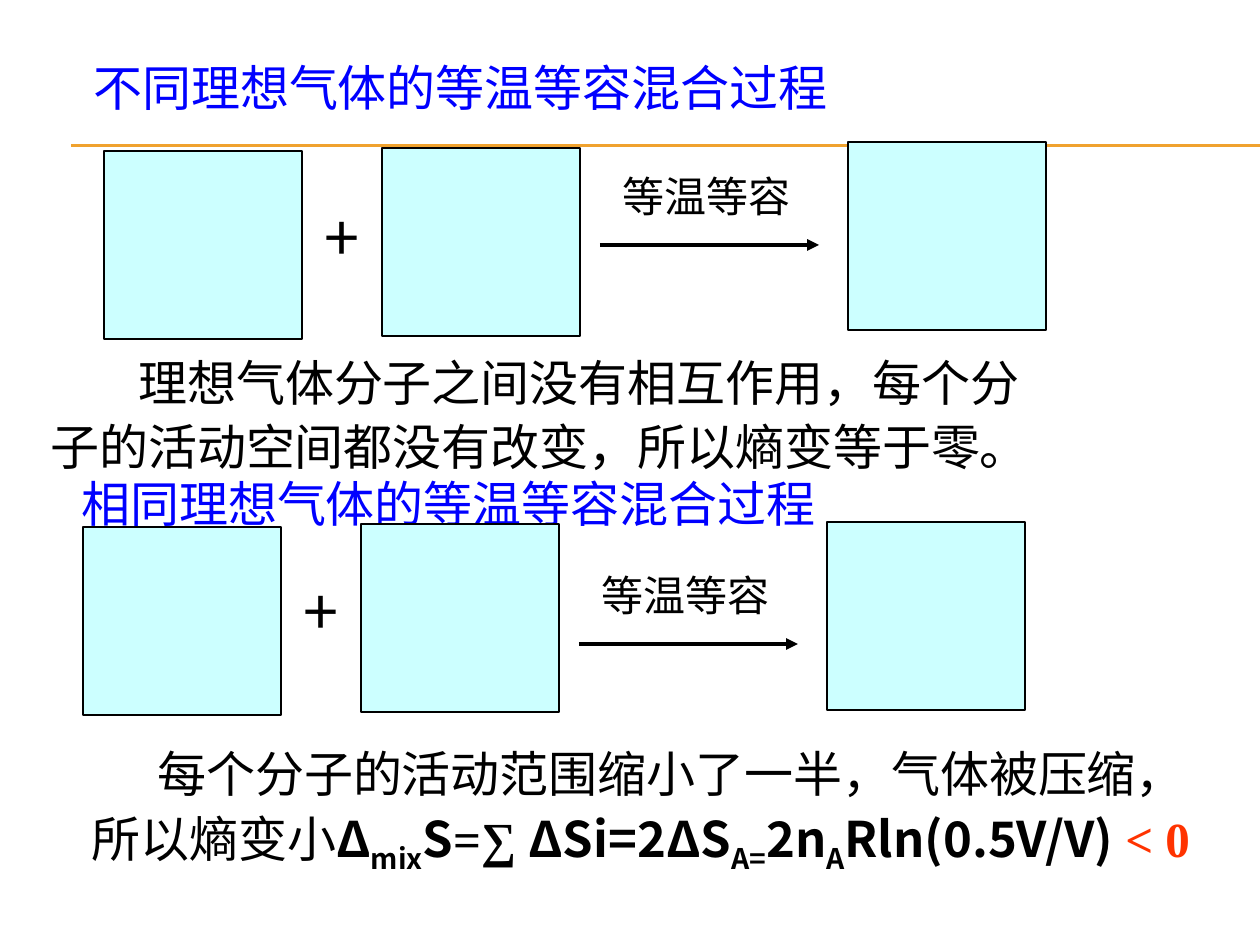
from lxml.etree import SubElement
from pptx import Presentation
from pptx.dml.color import RGBColor
from pptx.enum.shapes import MSO_CONNECTOR as Connector, MSO_SHAPE as Shape
from pptx.enum.text import MSO_AUTO_SIZE as AutoSize
from pptx.oxml.ns import qn
from pptx.util import Emu, Pt

PX_PER_INCH = 126
SANS = "Noto Sans CJK SC"
SERIF = "Times New Roman"
BLUE, BLACK, RED = "0000FF", "000000", "FF3300"
CYAN, ORANGE = "CCFFFF", "F0A22E"
BOX_WIDTH, BOX_HEIGHT = 198, 188


def px(count):
    return Emu(round(count * 914400 / PX_PER_INCH))


def color(value):
    return RGBColor.from_string(value)


def add_span(para, text, size=28, font=SERIF, fill=BLACK, bold=False, baseline=0):
    span = para.add_run()
    span.text = text
    span.font.size = Pt(size)
    span.font.bold = bold
    span.font.color.rgb = color(fill)
    span.font.name = font
    properties = span._r.get_or_add_rPr()
    SubElement(properties, qn("a:ea")).set("typeface", SANS)
    if baseline:
        properties.set("baseline", str(baseline * 1000))


def add_text(shapes, area, spans, spacing=1.1, indent=0, wrap=True, **style):
    box = shapes.add_textbox(*map(px, area))
    frame = box.text_frame
    frame.word_wrap = wrap
    frame.auto_size = AutoSize.SHAPE_TO_FIT_TEXT
    para = frame.paragraphs[0]
    para.line_spacing = spacing
    if indent:
        para._p.get_or_add_pPr().set("indent", str(px(indent)))
    for text, changes in spans:
        add_span(para, text, **{**style, **changes})


def add_line(shapes, left, right, top, stroke, width, arrow=False):
    line = shapes.add_connector(Connector.STRAIGHT, px(left), px(top), px(right), px(top))
    line.line.color.rgb = color(stroke)
    line.line.width = Pt(width)
    if arrow:
        SubElement(line.line._get_or_add_ln(), qn("a:tailEnd")).set("type", "triangle")
    SubElement(line._element.spPr, qn("a:effectLst"))


def add_container(shapes, left, top):
    box = shapes.add_shape(Shape.RECTANGLE, px(left), px(top), px(BOX_WIDTH), px(BOX_HEIGHT))
    box.shadow.inherit = False
    box.fill.solid()
    box.fill.fore_color.rgb = color(CYAN)
    box.line.color.rgb = color(BLACK)
    box.line.width = Pt(0.75)


def add_heading(shapes, left, top, gas):
    spans = [(f"{gas}理想气体的等温等容", {"font": SANS}), ("混合过程", {})]
    add_text(shapes, (left, top, 892, 68), spans, spacing=0.9, fill=BLUE)


def add_mixing(shapes, left, box_tops, plus_top, label_top):
    group = shapes.add_group_shape().shapes
    add_text(group, (left + 208, plus_top, 57, 96), [("+", {})], size=36, font=SANS)
    for offset, top in zip((0, 278, 744), box_tops):
        add_container(group, left + offset, top)
    add_line(group, left + 496, left + 715, label_top + 86, BLACK, 2.25, arrow=True)
    add_text(group, (left + 506, label_top, 193, 68), [("等温等容", {})],
             wrap=False, size=24, font=SANS)


def main():
    deck = Presentation()
    deck.slide_width, deck.slide_height = px(1260), px(945)
    shapes = deck.slides.add_slide(deck.slide_layouts[6]).shapes

    for top in (145, 146):
        add_line(shapes, 71, 1260, top, ORANGE, 0.75)

    add_heading(shapes, 81, 58, "不同")
    add_mixing(shapes, 104, (151, 148, 142), 185, 159)
    explanation = "理想气体分子之间没有相互作用，每个分子的活动空间都没有改变，所以熵变等于零。"
    add_text(shapes, (38, 340, 1032, 142), [(explanation, {})], indent=88)

    add_heading(shapes, 69, 474, "相同")
    add_mixing(shapes, 83, (527, 524, 522), 559, 558)

    strong = {"font": SANS, "bold": True}
    lowered = {**strong, "baseline": -25}
    conclusion = [
        ("每个分子的活动范围缩小了一半，气体被压缩，所以熵变小", {}),
        ("Δ", strong), ("mix", lowered), ("S", strong),
        ("=∑ ", {"bold": True}),
        ("ΔSi=2ΔS", strong), ("A=", lowered), ("2n", strong),
        ("A", lowered), ("Rln(0.5V/V)", strong),
        (" < 0", {"bold": True, "fill": RED}),
    ]
    add_text(shapes, (79, 731, 1135, 252), conclusion, indent=66)

    deck.save("out.pptx")


if __name__ == "__main__":
    main()
